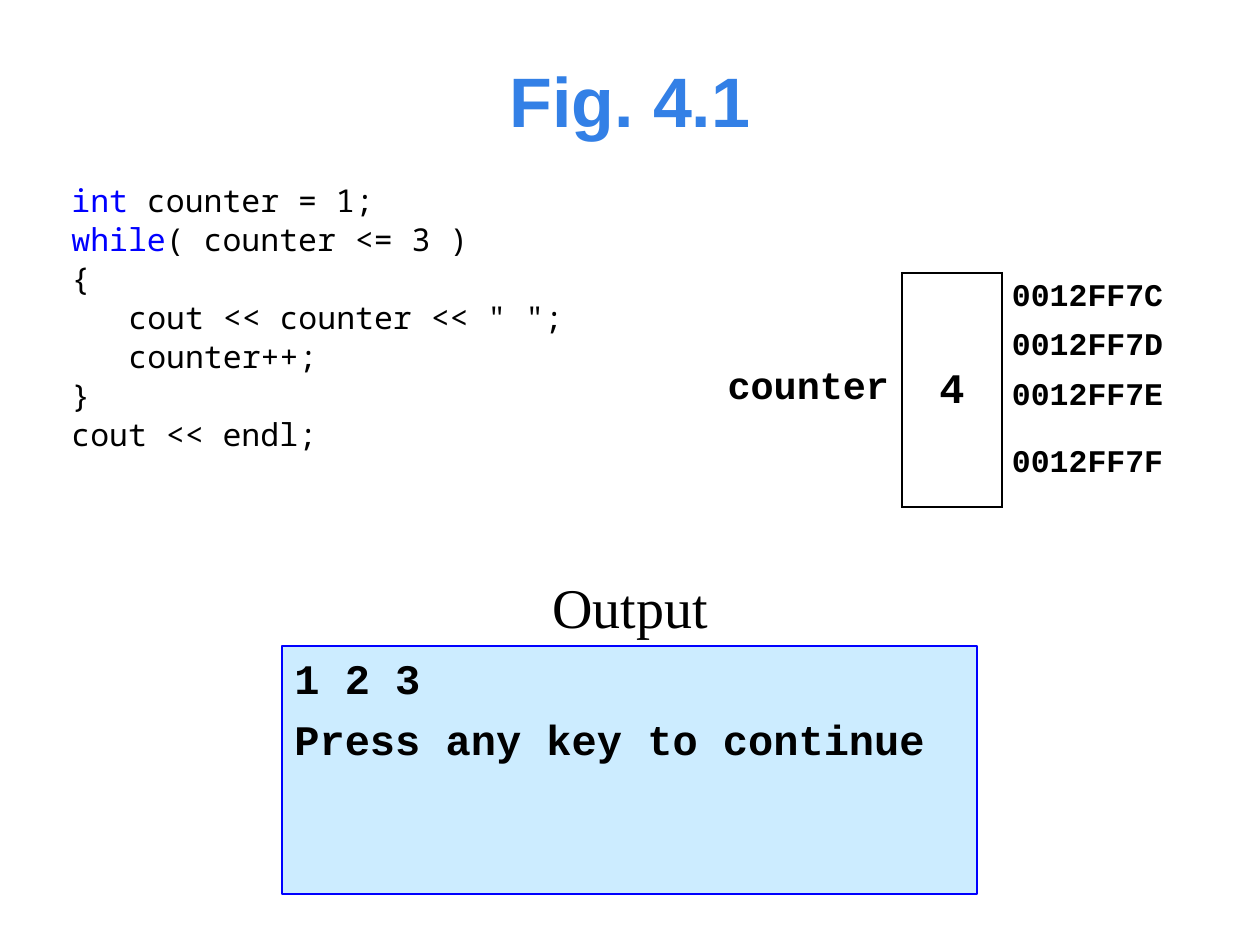
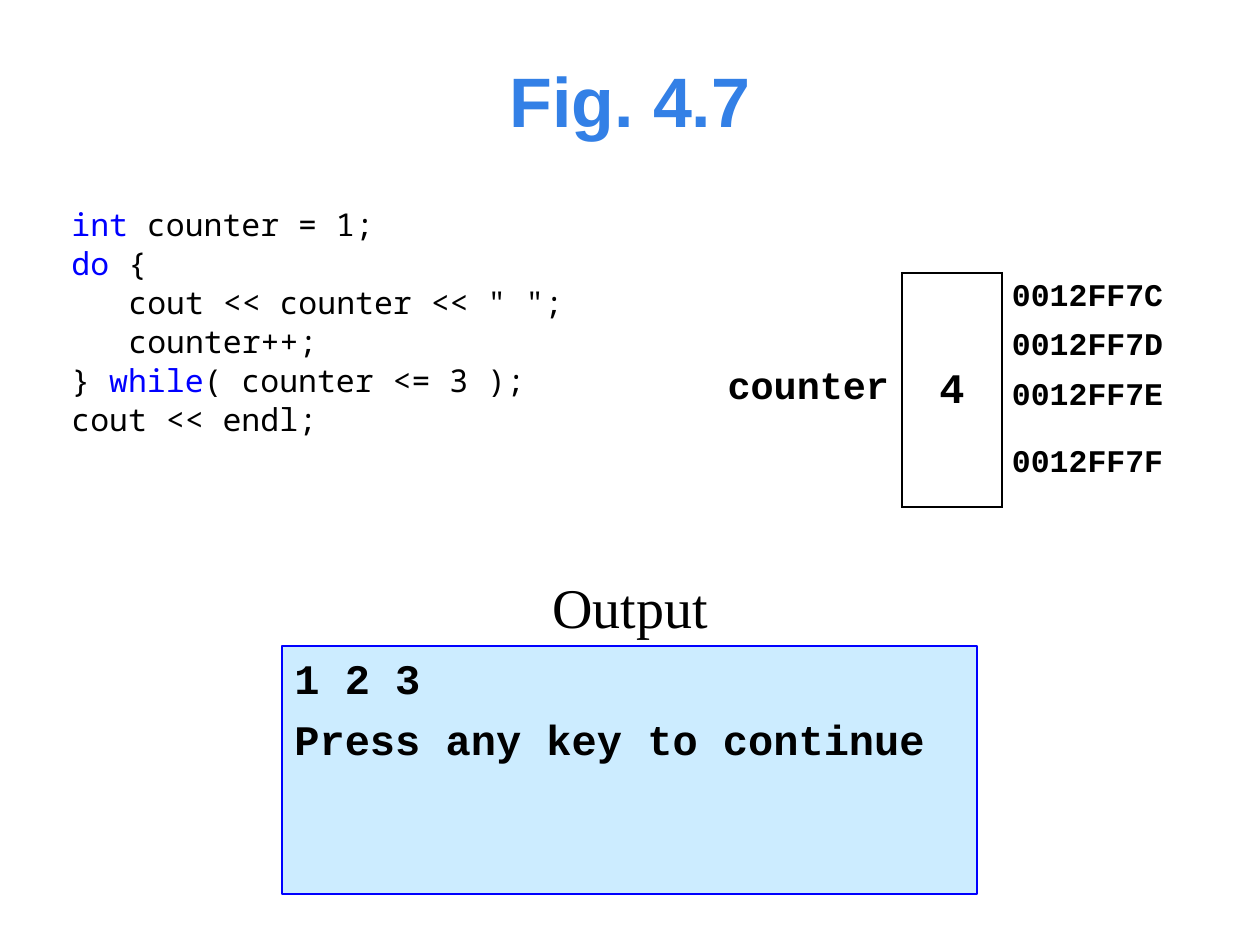
from lxml import etree
from pptx import Presentation, util as u
from pptx.dml.color import RGBColor
from pptx.enum import shapes, text
from pptx.oxml import ns

EMU_PER_PX = 914400 / 126
COLORS = {
    "title": "3380E6",
    "text": "000000",
    "keyword": "0000FF",
    "console": "CCECFF",
    "console_line": "0000FF",
}
MONO = "Courier New"
KEYWORDS = {"int", "do", "while"}
CODE_INDENT = 57
ADDRESSES = ["0012FF7C", "0012FF7D", "0012FF7E", "0012FF7F"]
CONSOLE_LINES = ["1 2 3", "Press any key to continue"]

# Each code line is its depth followed by its runs
WHILE_CODE = [
    (0, "int", " counter = 1;"),
    (0, "while", "( counter <= 3 )"),
    (0, "{"),
    (1, 'cout << counter << " ";'),
    (1, "counter++;"),
    (0, "}"),
    (0, "cout << endl;"),
]
DO_CODE = [
    (0, "int", " counter = 1;"),
    (0, "do", " {"),
    (1, 'cout << counter << " ";'),
    (1, "counter++;"),
    (0, "} ", "while", "( counter <= 3 );"),
    (0, "cout << endl;"),
]


def px(length):
    return u.Emu(round(length * EMU_PER_PX))


def color(name):
    return RGBColor.from_string(COLORS[name])


def style(paragraph, font, size, bold=False, fill="text",
          align=text.PP_ALIGN.LEFT, before=0):
    paragraph.alignment = align
    paragraph.space_before = u.Pt(before)
    paragraph.font.name = font
    paragraph.font.size = u.Pt(size)
    paragraph.font.bold = bold
    paragraph.font.color.rgb = color(fill)


def add_paragraphs(frame, count):
    """Return the frame's first paragraph and as many more as needed."""
    return [frame.paragraphs[0]] + [frame.add_paragraph() for _ in range(count - 1)]


def add_text_box(slide, box, anchor=text.MSO_ANCHOR.TOP, wrap=True):
    frame = slide.shapes.add_textbox(*map(px, box)).text_frame
    frame.word_wrap = wrap
    frame.vertical_anchor = anchor
    return frame


def add_heading(slide, words, box, anchor, wrap=True, **look):
    paragraph = add_text_box(slide, box, anchor, wrap).paragraphs[0]
    paragraph.text = words
    style(paragraph, align=text.PP_ALIGN.CENTER, **look)


def add_code(slide, lines, top, height):
    frame = add_text_box(slide, (59, top, 571, height))
    for paragraph, (depth, *runs) in zip(add_paragraphs(frame, len(lines)), lines):
        style(paragraph, "Noto Sans Mono", 18, before=0.7)
        if depth:
            paragraph._p.get_or_add_pPr().set("marL", str(px(depth * CODE_INDENT)))
        for words in runs:
            run = paragraph.add_run()
            run.text = words
            run.font.color.rgb = color("keyword" if words in KEYWORDS else "text")


def add_console(slide):
    console = slide.shapes.add_shape(
        shapes.MSO_SHAPE.RECTANGLE, *map(px, (282, 646, 695, 248)))
    console.shadow.inherit = False
    console.fill.solid()
    console.fill.fore_color.rgb = color("console")
    console.line.color.rgb = color("console_line")
    console.line.width = u.Pt(0.75)
    frame = console.text_frame
    frame.word_wrap = True
    frame.vertical_anchor = text.MSO_ANCHOR.TOP
    for paragraph, words in zip(add_paragraphs(frame, len(CONSOLE_LINES)), CONSOLE_LINES):
        paragraph.text = words
        style(paragraph, MONO, 24, bold=True, before=6.4)


def set_borders(cell, sides):
    properties = cell._tc.get_or_add_tcPr()
    for side in "LRTB":
        line = etree.SubElement(properties, ns.qn(f"a:ln{side}"), w=str(u.Pt(1.5)))
        if side in sides:
            fill = etree.SubElement(line, ns.qn("a:solidFill"))
            etree.SubElement(fill, ns.qn("a:srgbClr"), val=COLORS["text"])
        else:
            etree.SubElement(line, ns.qn("a:noFill"))


def fill_cell(cell, words, size, align, margins, spacing=1.0):
    cell.vertical_anchor = text.MSO_ANCHOR.MIDDLE
    (cell.margin_left, cell.margin_top,
     cell.margin_right, cell.margin_bottom) = map(px, margins)
    paragraph = cell.text_frame.paragraphs[0]
    paragraph.text = words
    paragraph.line_spacing = spacing
    style(paragraph, MONO, size, bold=True, align=align)


def add_memory_table(slide, name, value):
    rows = len(ADDRESSES)
    table = slide.shapes.add_table(
        rows, 3, *map(px, (704, 273, 472, 198))).table
    table.first_row = table.horz_banding = False
    for column, width in zip(table.columns, (198, 100, 174)):
        column.width = px(width)

    # Name and value span all bytes of the variable
    for column, sides in enumerate(("R", "LRTB", "L")):
        for row in range(rows):
            cell = table.cell(row, column)
            set_borders(cell, sides)
            cell.fill.background()
    for column in (0, 1):
        table.cell(0, column).merge(table.cell(rows - 1, column))
    fill_cell(table.cell(0, 0), name, 22, text.PP_ALIGN.RIGHT, (13, 0, 13, 18), 1.4)
    fill_cell(table.cell(0, 1), value, 24, text.PP_ALIGN.CENTER, (13, 0, 13, 15), 1.4)
    for row, address in enumerate(ADDRESSES):
        fill_cell(table.cell(row, 2), address, 18, text.PP_ALIGN.LEFT, (10, 5, 10, 5))


def add_loop_slide(presentation, title, code, code_top, code_height):
    slide = presentation.slides.add_slide(presentation.slide_layouts[6])
    add_heading(slide, title, (84, 50, 1092, 100), text.MSO_ANCHOR.MIDDLE,
                font="Arial", size=40, bold=True, fill="title")
    add_code(slide, code, code_top, code_height)
    add_console(slide)
    add_heading(slide, "Output", (531, 547, 198, 99), text.MSO_ANCHOR.BOTTOM,
                wrap=False, font="Times New Roman", size=32)
    add_memory_table(slide, "counter", "4")


def main():
    presentation = Presentation()
    presentation.slide_width, presentation.slide_height = px(1260), px(945)
    add_loop_slide(presentation, "Fig. 4.1", WHILE_CODE, 175, 372)
    add_loop_slide(presentation, "Fig. 4.7", DO_CODE, 199, 323)
    presentation.save("out.pptx")


if __name__ == "__main__":
    main()
